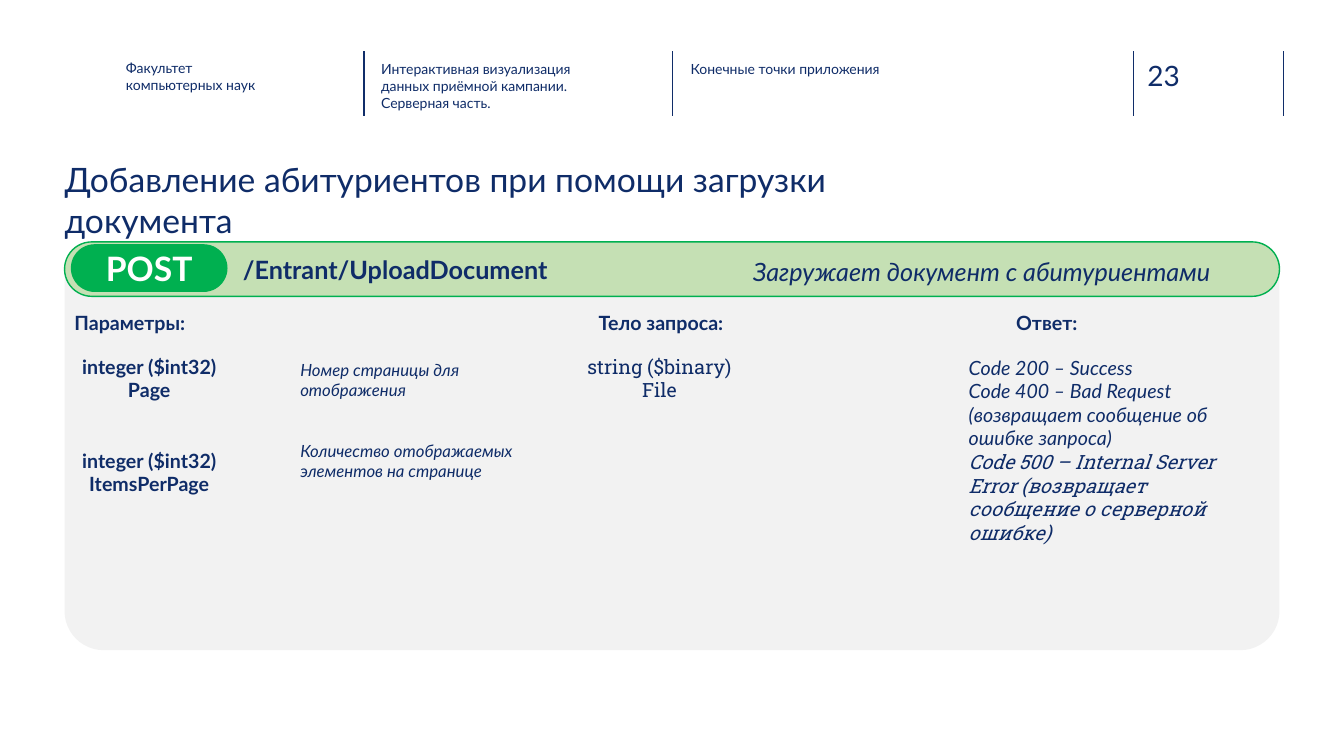
from lxml import etree
from pptx import Presentation
from pptx.dml.color import RGBColor
from pptx.enum.shapes import MSO_CONNECTOR, MSO_SHAPE
from pptx.enum.text import MSO_ANCHOR, PP_ALIGN
from pptx.oxml.ns import qn
from pptx.util import Inches, Pt

COLORS = {
    "navy": "0F2C68",
    "rule": "102D69",
    "panel": "F2F2F2",
    "light_green": "C5E0B4",
    "green": "00B050",
    "white": "FFFFFF",
}


def color(name):
    return RGBColor.from_string(COLORS[name])


def write_text(frame, text, size=14, font="Lato", ink="navy", bold=False,
               italic=False, align=PP_ALIGN.LEFT, gap=0, last_font=None):
    """Fill a text frame, one paragraph a line; gap is the space between them."""
    lines = text.split("\n")
    for index, line in enumerate(lines):
        paragraph = frame.add_paragraph() if index else frame.paragraphs[0]
        paragraph.alignment = align
        if index and gap:
            paragraph.space_before = Pt(gap)
        run = paragraph.add_run()
        run.text = line
        is_last = index == len(lines) - 1
        run.font.name = last_font if last_font and is_last else font
        run.font.size = Pt(size)
        run.font.bold = bold
        run.font.italic = italic
        run.font.color.rgb = color(ink)


class EndpointSlide:
    def __init__(self, presentation):
        self.slide = presentation.slides.add_slide(presentation.slide_layouts[6])

    def rule(self, x, top=0.51, bottom=1.15):
        line = self.slide.shapes.add_connector(
            MSO_CONNECTOR.STRAIGHT, Inches(x), Inches(top), Inches(x), Inches(bottom))
        line.line.color.rgb = color("rule")
        line.line.width = Pt(1)
        etree.SubElement(line._element.spPr, qn("a:effectLst"))

    def text(self, left, top, width, height, text, inset=True, **style):
        box = self.slide.shapes.add_textbox(
            Inches(left), Inches(top), Inches(width), Inches(height))
        frame = box.text_frame
        frame.word_wrap = True
        if not inset:
            frame.margin_left = frame.margin_right = 0
            frame.margin_top = frame.margin_bottom = 0
        write_text(frame, text, **style)

    def rounded(self, left, top, width, height, fill, radius=0.5, outline=None,
                text=None, indent=0.1, **style):
        shape = self.slide.shapes.add_shape(
            MSO_SHAPE.ROUNDED_RECTANGLE,
            Inches(left), Inches(top), Inches(width), Inches(height))
        shape.adjustments[0] = radius
        shape.shadow.inherit = False
        shape.fill.solid()
        shape.fill.fore_color.rgb = color(fill)
        if outline:
            shape.line.color.rgb = color(outline)
            shape.line.width = Pt(1)
        else:
            shape.line.fill.background()
        if text:
            frame = shape.text_frame
            frame.word_wrap = True
            frame.vertical_anchor = MSO_ANCHOR.MIDDLE
            frame.margin_left = Inches(indent)
            write_text(frame, text, **style)


def main():
    presentation = Presentation()
    presentation.slide_width = Inches(13.33)
    presentation.slide_height = Inches(7.5)
    page = EndpointSlide(presentation)

    # Header
    for x in (3.61, 6.67, 11.24, 12.73):
        page.rule(x)
    page.text(11.38, 0.58, 0.73, 0.34, "23", inset=False, size=20, ink="rule")
    for left, top, label in (
        (1.25, 0.59, "Факультет\nкомпьютерных наук"),
        (3.78, 0.6, "Интерактивная визуализация данных приёмной кампании. Серверная часть."),
        (6.85, 0.6, "Конечные точки приложения"),
    ):
        page.text(left, top, 2.26, 0.45, label, inset=False, size=10)

    # Title
    page.text(0.64, 1.58, 9.27, 0.85,
              "Добавление абитуриентов при помощи загрузки документа",
              inset=False, size=24)

    # Endpoint panel and bar
    page.rounded(0.64, 2.4, 12.05, 4.05, "panel", radius=0.096)
    page.rounded(0.64, 2.4, 12.05, 0.54, "light_green", outline="green",
                 text="/Entrant/UploadDocument", indent=1.69, size=18, bold=True)
    page.rounded(0.71, 2.43, 1.54, 0.46, "green", outline="green", text="POST",
                 size=24, ink="white", bold=True, align=PP_ALIGN.CENTER)
    page.text(7.37, 2.49, 4.92, 0.4, "Загружает документ с абитуриентами",
              size=18, italic=True)

    # Column headings
    for left, heading in ((0.64, "Параметры:"), (5.84, "Тело запроса:"), (9.98, "Ответ:")):
        page.text(left, 3.04, 1.97, 0.34, heading, bold=True)

    # Parameters
    page.text(0.54, 3.47, 1.88, 1.51,
              "integer ($int32) Page\ninteger ($int32) ItemsPerPage",
              bold=True, align=PP_ALIGN.CENTER, gap=33.6)
    page.text(2.88, 3.52, 2.35, 1.51,
              "Номер страницы для отображения\n"
              "Количество отображаемых элементов на странице",
              size=12, italic=True, gap=28.8)

    # Request body
    page.text(5.6, 3.47, 1.88, 0.57, "string ($binary)\nFile",
              font="Roboto Slab", align=PP_ALIGN.CENTER)

    # Responses
    page.text(9.51, 3.48, 3.1, 1.75,
              "Code 200 – Success\n"
              "Code 400 – Bad Request (возвращает сообщение об ошибке запроса)\n"
              "Code 500 – Internal Server Error (возвращает сообщение о серверной ошибке)",
              italic=True, last_font="Roboto Slab")

    presentation.save("out.pptx")


if __name__ == "__main__":
    main()
